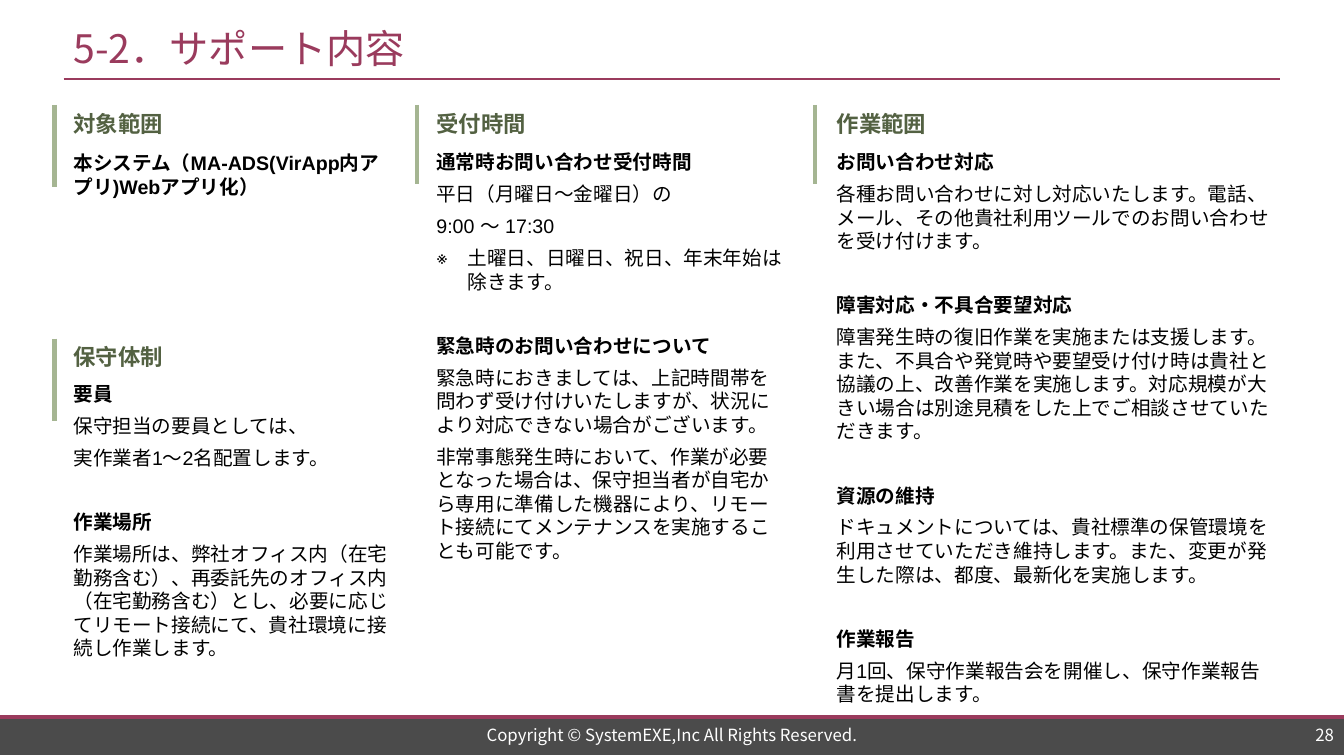
from dataclasses import dataclass

from lxml.etree import SubElement
from pptx import Presentation
from pptx.dml.color import RGBColor
from pptx.enum.shapes import MSO_CONNECTOR, MSO_SHAPE
from pptx.enum.text import MSO_ANCHOR, MSO_AUTO_SIZE, PP_ALIGN
from pptx.oxml.ns import qn
from pptx.util import Inches, Pt


@dataclass(frozen=True)
class Theme:
    accent: RGBColor = RGBColor(0x9A, 0x3B, 0x5D)
    band: RGBColor = RGBColor(0x4B, 0x4B, 0x4B)
    marker: RGBColor = RGBColor(0xA5, 0xB5, 0x92)
    heading: RGBColor = RGBColor(0x53, 0x61, 0x42)
    text: RGBColor = RGBColor(0, 0, 0)
    white: RGBColor = RGBColor(0xFF, 0xFF, 0xFF)
    title_font: str = "Noto Sans CJK JP"
    body_font: str = "Arial"
    title_size: int = 28
    heading_size: int = 16
    body_size: int = 14
    footer_size: int = 12
    paragraph_gap: int = 6
    topic_gap: int = 29


THEME = Theme()

# Each topic: (subheading, paragraphs); a leading ※ marks a bulleted note
SCOPE = [("本システム（MA-ADS(VirApp内アプリ)Webアプリ化）", [])]
STAFFING = [
    ("要員", ["保守担当の要員としては、", "実作業者1～2名配置します。"]),
    ("作業場所", [
        "作業場所は、弊社オフィス内（在宅勤務含む）、再委託先のオフィス内（在宅勤務含む）とし、"
        "必要に応じてリモート接続にて、貴社環境に接続し作業します。"]),
]
HOURS = [
    ("通常時お問い合わせ受付時間", [
        "平日（月曜日～金曜日）の",
        "9:00 ～ 17:30",
        "※土曜日、日曜日、祝日、年末年始は除きます。"]),
    ("緊急時のお問い合わせについて", [
        "緊急時におきましては、上記時間帯を問わず受け付けいたしますが、"
        "状況により対応できない場合がございます。",
        "非常事態発生時において、作業が必要となった場合は、保守担当者が自宅から専用に準備した機器により、"
        "リモート接続にてメンテナンスを実施することも可能です。"]),
]
WORK = [
    ("お問い合わせ対応", [
        "各種お問い合わせに対し対応いたします。電話、メール、その他貴社利用ツールでの"
        "お問い合わせを受け付けます。"]),
    ("障害対応・不具合要望対応", [
        "障害発生時の復旧作業を実施または支援します。また、不具合や発覚時や要望受け付け時は"
        "貴社と協議の上、改善作業を実施します。対応規模が大きい場合は別途見積をした上で"
        "ご相談させていただきます。"]),
    ("資源の維持", [
        "ドキュメントについては、貴社標準の保管環境を利用させていただき維持します。"
        "また、変更が発生した際は、都度、最新化を実施します。"]),
    ("作業報告", ["月1回、保守作業報告会を開催し、保守作業報告書を提出します。"]),
]

# Heading, topics, marker x, text x, top, width, body top, body height, marker length
SECTIONS = [
    ("受付時間", HOURS, 4.14, 4.23, 1.04, 3.66, 1.44, 5.43, 0.79),
    ("作業範囲", WORK, 8.08, 8.2, 1.04, 4.51, 1.44, 5.43, 0.79),
    ("対象範囲", SCOPE, 0.54, 0.63, 1.04, 3.32, 1.45, 0.41, 0.82),
    ("保守体制", STAFFING, 0.54, 0.63, 3.36, 3.32, 3.74, 3.13, 0.82),
]


def style(paragraph, size, color, font, bold=False):
    paragraph.font.size = Pt(size)
    paragraph.font.color.rgb = color
    paragraph.font.bold = bold
    paragraph.font.name = font
    properties = paragraph._p.pPr.find(qn("a:defRPr"))
    SubElement(properties, qn("a:ea"), typeface=font)


def add_rule(slide, x1, y1, x2, y2, color, width):
    rule = slide.shapes.add_connector(
        MSO_CONNECTOR.STRAIGHT, Inches(x1), Inches(y1), Inches(x2), Inches(y2))
    rule.line.color.rgb = color
    rule.line.width = Pt(width)
    SubElement(rule._element.spPr, qn("a:effectLst"))


def add_text_frame(slide, left, top, width, height):
    frame = slide.shapes.add_textbox(
        Inches(left), Inches(top), Inches(width), Inches(height)).text_frame
    frame.word_wrap = True
    return frame


def hang_note(paragraph, mark):
    properties = paragraph._p.get_or_add_pPr()
    properties.set("marL", str(Inches(0.31)))
    properties.set("indent", str(-Inches(0.31)))
    SubElement(properties, qn("a:buFont"), typeface=THEME.body_font)
    SubElement(properties, qn("a:buChar"), char=mark)


def add_topics(frame, topics):
    lines = [(text, index == 0)
             for subheading, details in topics
             for index, text in enumerate([subheading, *details])]
    for number, (text, is_subheading) in enumerate(lines):
        paragraph = frame.add_paragraph() if number else frame.paragraphs[0]
        if number:
            paragraph.space_before = Pt(
                THEME.topic_gap if is_subheading else THEME.paragraph_gap)
        if text.startswith("※"):
            hang_note(paragraph, text[0])
            text = text[1:]
        paragraph.text = text
        style(paragraph, THEME.body_size, THEME.text, THEME.body_font, is_subheading)


def add_section(slide, heading, topics, marker_x, left, top, width,
                body_top, body_height, marker_length):
    add_rule(slide, marker_x, top, marker_x, top + marker_length, THEME.marker, 3)
    label = add_text_frame(slide, left, top, width, 0.37).paragraphs[0]
    label.text = heading
    style(label, THEME.heading_size, THEME.heading, THEME.body_font, True)
    add_topics(add_text_frame(slide, left, body_top, width, body_height), topics)


def add_title(slide, text):
    title = slide.shapes.title
    title.left, title.top = Inches(0.63), Inches(0.2)
    title.width, title.height = Inches(12.07), Inches(0.55)
    frame = title.text_frame
    frame.text = text
    frame.auto_size = MSO_AUTO_SIZE.NONE
    frame.vertical_anchor = MSO_ANCHOR.MIDDLE
    frame.word_wrap = False
    frame.paragraphs[0].alignment = PP_ALIGN.LEFT
    style(frame.paragraphs[0], THEME.title_size, THEME.accent, THEME.title_font)
    add_rule(slide, 0.63, 0.78, 12.7, 0.78, THEME.accent, 1.5)


def add_footer_text(slide, text, left, width, alignment):
    frame = add_text_frame(slide, left, 7.17, width, 0.24)
    frame.vertical_anchor = MSO_ANCHOR.MIDDLE
    frame.paragraphs[0].text = text
    frame.paragraphs[0].alignment = alignment
    style(frame.paragraphs[0], THEME.footer_size, THEME.white, THEME.title_font)


def add_footer(slide):
    band = slide.shapes.add_shape(
        MSO_SHAPE.RECTANGLE, Inches(0), Inches(7.1), Inches(13.33), Inches(0.39))
    band.shadow.inherit = False
    band.fill.solid()
    band.fill.fore_color.rgb = THEME.band
    band.line.fill.background()
    add_rule(slide, 0, 7.11, 13.33, 7.11, THEME.accent, 2.75)
    add_footer_text(slide, "Copyright © SystemEXE,Inc All Rights Reserved.",
                    3.32, 6.69, PP_ALIGN.CENTER)
    add_footer_text(slide, "28", 11.76, 1.57, PP_ALIGN.RIGHT)


def main():
    deck = Presentation()
    deck.slide_width, deck.slide_height = Inches(13.33), Inches(7.5)
    slide = deck.slides.add_slide(deck.slide_layouts[5])  # Title Only
    add_footer(slide)
    add_title(slide, "5-2．サポート内容")
    for section in SECTIONS:
        add_section(slide, *section)
    deck.save("out.pptx")


if __name__ == "__main__":
    main()
